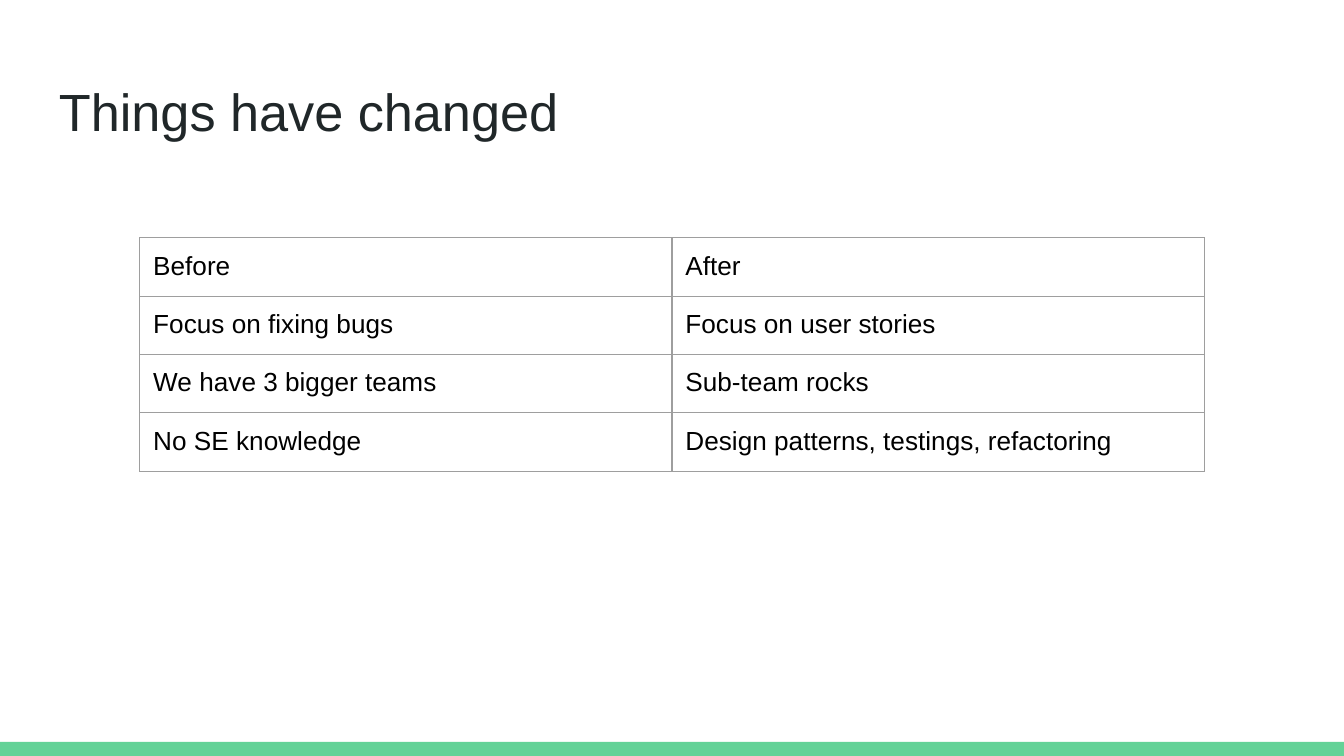
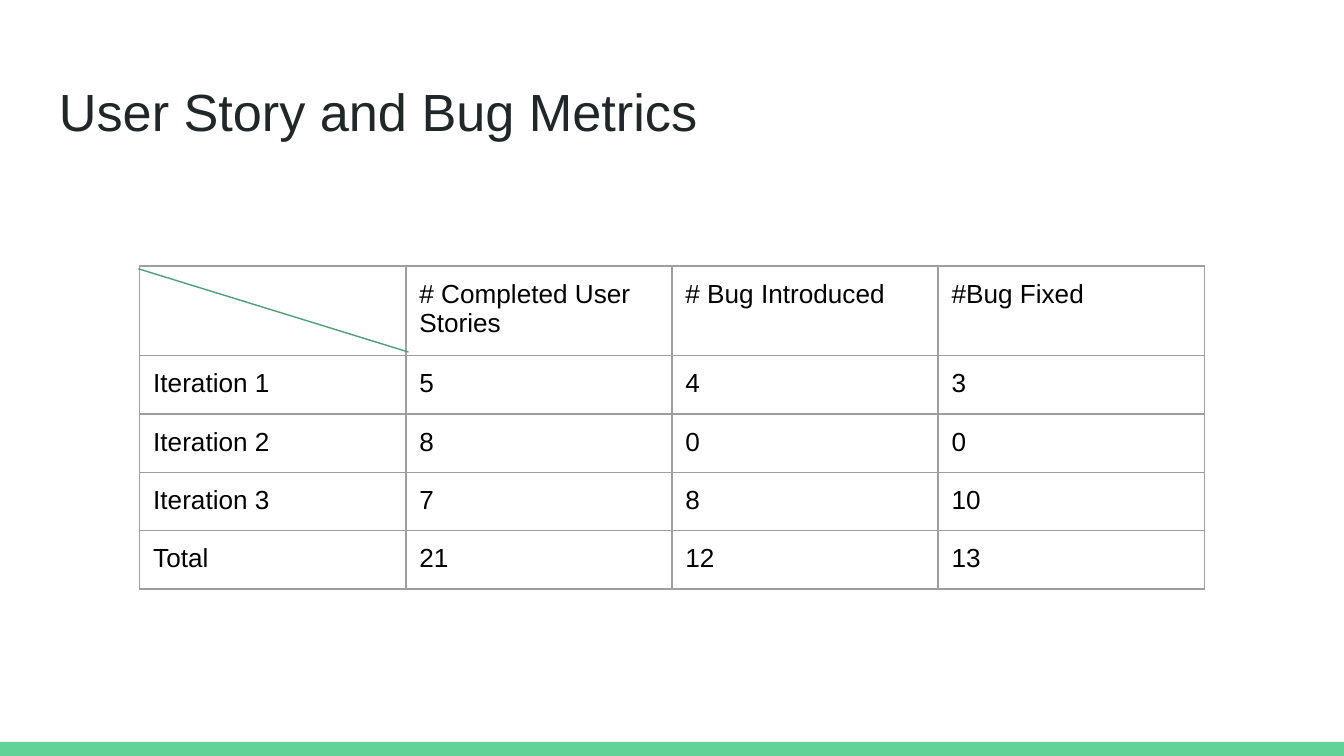
from lxml import etree
from pptx import Presentation
from pptx import util as u
from pptx.dml.color import RGBColor
from pptx.enum import shapes, text
from pptx.oxml.ns import qn

COLORS = {
    "band": "63D297",
    "title": "202729",
    "body": "000000",
    "border": "9E9E9E",
    "diagonal": "4BA173",
}
TITLE_FONT = {"name": "Arial", "size": u.Pt(28)}
CELL_FONT = {"name": "Arial", "size": u.Pt(14)}
PARAGRAPH_FORMAT = {"line_spacing": 1.0, "space_before": u.Pt(0), "space_after": u.Pt(0)}
INSETS = {f"margin_{side}": u.Inches(0.1) for side in ("left", "right", "top", "bottom")}
TITLE_FRAME = {"word_wrap": True, "vertical_anchor": text.MSO_ANCHOR.TOP, **INSETS}
TABLE_LEFT, TABLE_WIDTH, FRAME_SIZE = 1.04, 7.92, 3.28
ROW_HEIGHT = 5 / 12

SLIDES = [
    {
        "title": "Things have changed",
        "table_top": 1.77,
        "rows": [
            ["Before", "After"],
            ["Focus on fixing bugs", "Focus on user stories"],
            ["We have 3 bigger teams", "Sub-team rocks"],
            ["No SE knowledge", "Design patterns, testings, refactoring"],
        ],
    },
    {
        "title": "User Story and Bug Metrics",
        "table_top": 1.98,
        "rows": [
            ["", "# Completed User Stories", "# Bug Introduced", "#Bug Fixed"],
            ["Iteration 1", "5", "4", "3"],
            ["Iteration 2", "8", "0", "0"],
            ["Iteration 3", "7", "8", "10"],
            ["Total", "21", "12", "13"],
        ],
    },
]


def write(paragraph, content, font, color):
    for name, value in PARAGRAPH_FORMAT.items():
        setattr(paragraph, name, value)
    run = paragraph.add_run()
    run.text = content
    for name, value in font.items():
        setattr(run.font, name, value)
    run.font.color.rgb = RGBColor.from_string(COLORS[color])
    for script in ("ea", "cs"):
        etree.SubElement(run.font._element, qn(f"a:{script}"), typeface=font["name"])


def add_borders(cell):
    properties = cell._tc.get_or_add_tcPr()
    for position, side in enumerate(("lnL", "lnR", "lnT", "lnB")):
        line = etree.Element(qn(f"a:{side}"), w=str(u.Pt(0.75)))
        fill = etree.SubElement(line, qn("a:solidFill"))
        etree.SubElement(fill, qn("a:srgbClr"), val=COLORS["border"])
        properties.insert(position, line)


presentation = Presentation()
presentation.slide_width = u.Inches(10)
presentation.slide_height = u.Inches(10 * 9 / 16)

for content in SLIDES:
    slide = presentation.slides.add_slide(presentation.slide_layouts[6])

    # Bottom band
    band = slide.shapes.add_shape(
        shapes.MSO_SHAPE.RECTANGLE, 0, u.Inches(5.52), u.Inches(10), u.Inches(0.11))
    band.shadow.inherit = False
    band.fill.solid()
    band.fill.fore_color.rgb = RGBColor.from_string(COLORS["band"])
    band.line.fill.background()

    # Title
    title = slide.shapes.add_textbox(
        u.Inches(0.34), u.Inches(0.49), u.Inches(9.32), u.Inches(0.63))
    for name, value in TITLE_FRAME.items():
        setattr(title.text_frame, name, value)
    write(title.text_frame.paragraphs[0], content["title"], TITLE_FONT, "title")

    # Table
    rows = content["rows"]
    frame = slide.shapes.add_table(
        len(rows), len(rows[0]), u.Inches(TABLE_LEFT), u.Inches(content["table_top"]),
        u.Inches(FRAME_SIZE), u.Inches(FRAME_SIZE))
    table = frame.table
    table.first_row = table.horz_banding = False
    for column in table.columns:
        column.width = u.Inches(TABLE_WIDTH / len(rows[0]))
    for row in table.rows:
        row.height = u.Inches(ROW_HEIGHT)
    frame.width = frame.height = u.Inches(FRAME_SIZE)
    for row, values in enumerate(rows):
        for column, value in enumerate(values):
            cell = table.cell(row, column)
            for name, inset in INSETS.items():
                setattr(cell, name, inset)
            cell.fill.background()
            add_borders(cell)
            if value:
                write(cell.text_frame.paragraphs[0], value, CELL_FONT, "body")

# Diagonal across the empty corner cell of the metrics table
diagonal = slide.shapes.add_connector(
    shapes.MSO_CONNECTOR.STRAIGHT,
    u.Inches(1.03), u.Inches(2), u.Inches(3.04), u.Inches(2.62))
diagonal.line.color.rgb = RGBColor.from_string(COLORS["diagonal"])
diagonal.line.width = u.Pt(0.75)
etree.SubElement(diagonal._element.spPr, qn("a:effectLst"))

presentation.save("out.pptx")
